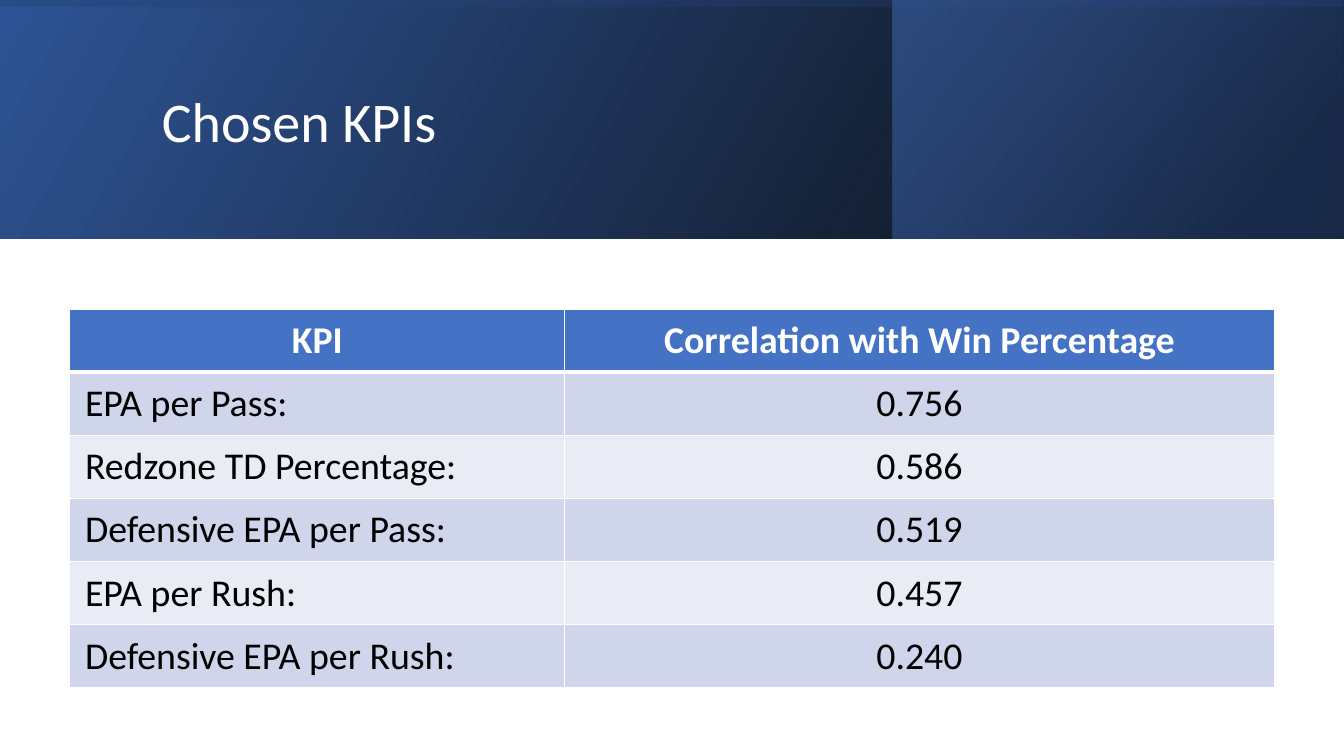
from typing import NamedTuple

from lxml.etree import SubElement
from pptx import Presentation
from pptx.dml.color import RGBColor
from pptx.enum.shapes import MSO_SHAPE
from pptx.enum.text import MSO_ANCHOR, PP_ALIGN
from pptx.oxml.ns import qn
from pptx.slide import Slide
from pptx.table import _Cell
from pptx.text.text import _Paragraph
from pptx.util import Inches, Pt

WHITE = RGBColor(0xFF, 0xFF, 0xFF)
BLACK = RGBColor(0x00, 0x00, 0x00)
DEEP_BLUE = RGBColor(0x2F, 0x55, 0x97)
NAVY = RGBColor(0x20, 0x38, 0x64)
BLUE = RGBColor(0x44, 0x72, 0xC4)
BAND_DARK = RGBColor(0xCF, 0xD5, 0xEA)
BAND_LIGHT = RGBColor(0xE9, 0xEB, 0xF5)

FONT = "Calibri"
WIDTH = Inches(13.33)
HEIGHT = Inches(7.5)
BANNER_SHARE = 0.316
PANEL_SHARE = 0.336


class Box(NamedTuple):
    left: float
    top: float
    width: float
    height: float

    def lengths(self) -> tuple[int, int, int, int]:
        return (int(self.left * WIDTH), int(self.top * HEIGHT),
                int(self.width * WIDTH), int(self.height * HEIGHT))


class Stop(NamedTuple):
    position: int
    color: RGBColor
    opacity: int


class Band(NamedTuple):
    box: Box
    stops: tuple[Stop, Stop]
    angle: int
    upright: bool = True


class Kpi(NamedTuple):
    name: str
    correlation: str


BANNER = Box(0, 0, 1, BANNER_SHARE)
PANEL = Box(1 - PANEL_SHARE, 0, PANEL_SHARE, BANNER_SHARE)
TITLE = Box(0.113, 0.05, 0.797, 0.23)
TABLE = Box(0.052, 0.409, 0.896, 0.501)
NAME_COLUMN_SHARE = 0.411

BANDS = (
    Band(BANNER, (Stop(0, BLACK, 96), Stop(100, DEEP_BLUE, 100)), 330),
    Band(PANEL, (Stop(19, NAVY, 68), Stop(100, BLUE, 48)), 320),
    Band(BANNER, (Stop(23, DEEP_BLUE, 16), Stop(99, BLACK, 45)), 350, upright=False),
)

KPIS = (
    Kpi("KPI", "Correlation with Win Percentage"),
    Kpi("EPA per Pass:", "0.756"),
    Kpi("Redzone TD Percentage:", "0.586"),
    Kpi("Defensive EPA per Pass:", "0.519"),
    Kpi("EPA per Rush:", "0.457"),
    Kpi("Defensive EPA per Rush:", "0.240"),
)


def style_paragraph(paragraph: _Paragraph, size: float, color: RGBColor, bold: bool = False) -> None:
    for run in paragraph.runs:
        run.font.name = FONT
        run.font.size = Pt(size)
        run.font.bold = bold
        run.font.color.rgb = color


def add_band(slide: Slide, band: Band) -> None:
    left, top, width, height = band.box.lengths()
    if not band.upright:
        left, top = left + (width - height) // 2, top + (height - width) // 2
        width, height = height, width
    shape = slide.shapes.add_shape(MSO_SHAPE.RECTANGLE, left, top, width, height)
    shape.rotation = 0 if band.upright else 270
    shape.shadow.inherit = False
    shape.line.fill.background()
    shape.fill.gradient()
    properties = shape._element.spPr
    properties.find(qn("a:xfrm")).set("flipH", "1")
    gradient = properties.find(qn("a:gradFill"))
    gradient.set("rotWithShape", "1")
    for child in list(gradient):
        gradient.remove(child)
    stop_list = SubElement(gradient, qn("a:gsLst"))
    for stop in band.stops:
        entry = SubElement(stop_list, qn("a:gs"), pos=str(stop.position * 1000))
        color = SubElement(entry, qn("a:srgbClr"), val=str(stop.color))
        SubElement(color, qn("a:alpha"), val=str(stop.opacity * 1000))
    SubElement(gradient, qn("a:lin"), ang=str(band.angle * 60000), scaled="0")


def add_title(slide: Slide, text: str) -> None:
    text_frame = slide.shapes.add_textbox(*TITLE.lengths()).text_frame
    text_frame.word_wrap = True
    text_frame.vertical_anchor = MSO_ANCHOR.MIDDLE
    text_frame.text = text
    paragraph = text_frame.paragraphs[0]
    paragraph.line_spacing = 0.9
    style_paragraph(paragraph, 40, WHITE)


def set_borders(cell: _Cell, top: float, bottom: float) -> None:
    properties = cell._tc.get_or_add_tcPr()
    for side, width in (("L", 1), ("R", 1), ("T", top), ("B", bottom)):
        line = SubElement(properties, qn(f"a:ln{side}"), w=str(Pt(width)))
        fill = SubElement(line, qn("a:solidFill"))
        SubElement(fill, qn("a:srgbClr"), val=str(WHITE))


def fill_cell(cell: _Cell, text: str, row: int, column: int) -> None:
    header = row == 0
    set_borders(cell, top=3 if row == 1 else 1, bottom=3 if header else 1)
    cell.fill.solid()
    cell.fill.fore_color.rgb = BLUE if header else (BAND_LIGHT, BAND_DARK)[row % 2]
    cell.vertical_anchor = MSO_ANCHOR.MIDDLE
    cell.margin_left = cell.margin_right = Inches(0.15)
    cell.margin_top = cell.margin_bottom = Inches(0.07)
    cell.text_frame.text = text
    paragraph = cell.text_frame.paragraphs[0]
    paragraph.alignment = PP_ALIGN.CENTER if header or column == 1 else PP_ALIGN.LEFT
    style_paragraph(paragraph, 27, WHITE if header else BLACK, header)


def add_kpi_table(slide: Slide) -> None:
    left, top, width, height = TABLE.lengths()
    table = slide.shapes.add_table(len(KPIS), 2, left, top, width, height).table
    table.columns[0].width = int(width * NAME_COLUMN_SHARE)
    table.columns[1].width = width - table.columns[0].width
    for row, kpi in enumerate(KPIS):
        for column, text in enumerate(kpi):
            fill_cell(table.cell(row, column), text, row, column)


def main() -> None:
    presentation = Presentation()
    presentation.slide_width = WIDTH
    presentation.slide_height = HEIGHT
    slide = presentation.slides.add_slide(presentation.slide_layouts[6])
    for band in BANDS:
        add_band(slide, band)
    add_title(slide, "Chosen KPIs")
    add_kpi_table(slide)
    presentation.save("out.pptx")


if __name__ == "__main__":
    main()
